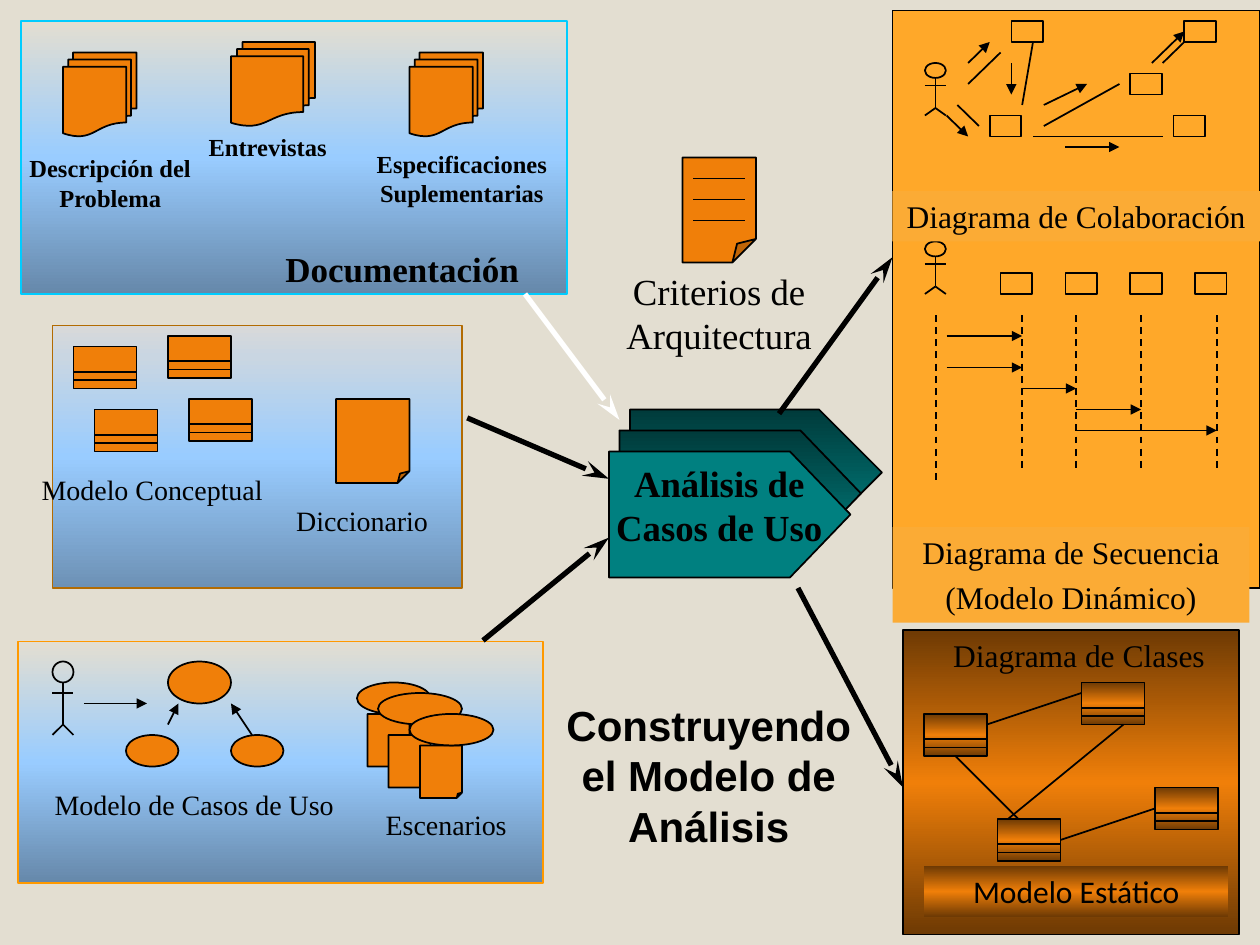
from pptx import Presentation
from pptx.dml.color import RGBColor
from pptx.enum.dml import MSO_LINE_DASH_STYLE as DASH
from pptx.enum.shapes import MSO_CONNECTOR, MSO_SHAPE as SHAPE
from pptx.enum.text import MSO_ANCHOR, MSO_AUTO_SIZE, PP_ALIGN as ALIGN
from pptx.oxml.ns import qn
from pptx.util import Inches, Pt
from lxml.etree import SubElement

C = {"black": "000000", "white": "FFFFFF", "sand": "E3DED1", "orange": "F07F09",
     "amber": "FFA829", "label": "FBAB35", "teal": "008080", "cyan": "00CCFF",
     "brown": "B26B02", "gold": "FF9900"}
SKY = [(0, "E3DED1"), (50, "99CCFF"), (100, "6688AA")]
MIST = [(0, "D9D9D9"), (12, "C9D6E2"), (50, "99CCFF"), (100, "6D91B5")]
COPPER = [(0, "6E3A04"), (50, "F07F09"), (100, "6E3A04")]
DEEP = [(0, "003B3B"), (100, "008080")]
SERIF = "Times New Roman"


def grid(n):
    """Length of n cells; the slide is 120 columns by 90 rows."""
    return Inches(n / 12)


def dyn(col):
    """Slide column of one of the 34 columns in the dynamic model panel."""
    return 85 + col * 35 / 34


def rgb(name):
    return RGBColor.from_string(C[name])


def paint(s, fill):
    """Fill with a colour name, a list of gradient stops, or nothing."""
    if fill is None:
        s.fill.background()
    elif isinstance(fill, str):
        s.fill.solid()
        s.fill.fore_color.rgb = rgb(fill)
    else:
        s.fill.gradient()
        s.fill.gradient_angle = 270
        stops = s._element.spPr.find(".//" + qn("a:gsLst"))
        for gs in list(stops):
            stops.remove(gs)
        for pos, value in fill:
            gs = SubElement(stops, qn("a:gs"), pos=str(pos * 1000))
            SubElement(gs, qn("a:srgbClr"), val=value)


def shape(shapes, kind, x, y, w, h, fill="orange", line="black", adj=None):
    s = shapes.add_shape(kind, grid(x), grid(y), grid(w), grid(h))
    s.shadow.inherit = False
    paint(s, fill)
    if line:
        s.line.color.rgb = rgb(line)
        s.line.width = Pt(1)
    else:
        s.line.fill.background()
    if adj is not None:
        guides = s._element.spPr.find(".//" + qn("a:avLst"))
        for gd in list(guides):
            guides.remove(gd)
        SubElement(guides, qn("a:gd"), name="adj", fmla=f"val {round(adj * 100000)}")
    return s


def line(shapes, x1, y1, x2, y2, color="black", width=1, head=None, dash=False):
    s = shapes.add_connector(MSO_CONNECTOR.STRAIGHT, grid(x1), grid(y1), grid(x2), grid(y2))
    s.line.color.rgb = rgb(color)
    s.line.width = Pt(width)
    if dash:
        s.line.dash_style = DASH.DASH
    if head:
        length = "lg" if head == "stealth" else "med"
        SubElement(s.line._get_or_add_ln(), qn("a:tailEnd"), type=head, w="med", len=length)
    SubElement(s._element.spPr, qn("a:effectLst"))


def write(s, text, size, font=SERIF, bold=False, align=ALIGN.CENTER, wrap=True):
    tf = s.text_frame
    tf.text = text
    tf.word_wrap = wrap
    tf.auto_size = MSO_AUTO_SIZE.NONE
    tf.vertical_anchor = MSO_ANCHOR.TOP
    for p in tf.paragraphs:
        p.alignment = align
        for r in p.runs:
            r.font.name, r.font.size, r.font.bold = font, Pt(size), bold
            r.font.color.rgb = rgb("black")
    return tf


def label(shapes, text, x, y, w, h, size, **style):
    write(shapes.add_textbox(grid(x), grid(y), grid(w), grid(h)), text, size, **style)


def actor(slide, x, y, height, fill=None):
    """Stick figure two columns wide, divided into sevenths of its height."""
    g = slide.shapes.add_group_shape().shapes
    u = height / 7
    mid, hip = x + 1, y + 6 * u
    shape(g, SHAPE.OVAL, x, y, 2, 2 * u, fill)
    line(g, mid, y + 2 * u, mid, hip)
    line(g, x, y + 3 * u, x + 2, y + 3 * u)
    for foot in (x, x + 2):
        line(g, mid, hip, foot, y + height)


def class_box(slide, x, y, fill):
    g = slide.shapes.add_group_shape().shapes
    shape(g, SHAPE.RECTANGLE, x, y, 6, 4, fill)
    for dy in (2.4, 3.2):
        line(g, x, y + dy, x + 6, y + dy)


def dynamic_model(slide):
    shapes = slide.shapes
    shape(shapes, SHAPE.RECTANGLE, 85, 1, 35, 55, "amber")
    for y in (6, 23):
        actor(slide, dyn(3), y, 5, "amber")
    collaborators = [(11, 2), (9, 11), (27, 2), (22, 7), (26, 11)]
    lifeline_heads = [(c, 26) for c in range(10, 29, 6)]
    for c, y in collaborators + lifeline_heads:
        shape(shapes, SHAPE.RECTANGLE, dyn(c), y, 3, 2, "amber")
    for c1, y1, c2, y2 in [(7, 8, 10, 5), (6, 10, 8, 12), (13, 4, 12, 10),
                           (14, 12, 21, 8), (25, 6, 27, 4), (13, 13, 25, 13)]:
        line(shapes, dyn(c1), y1, dyn(c2), y2)
    for c, end in [(4, 46), (12, 45), (17, 45), (23, 45), (30, 45)]:
        line(shapes, dyn(c), 30, dyn(c), end, dash=True)
    calls = [(7, 6, 9, 4), (11, 6, 11, 9), (5, 11, 7, 13),
             (16, 14, 21, 14), (14, 10, 18, 8), (24, 6, 27, 3)]
    messages = [(c1, y, c2, y) for c1, c2, y in
                [(5, 12, 32), (5, 12, 35), (12, 17, 37), (17, 23, 39), (17, 30, 41)]]
    for c1, y1, c2, y2 in calls + messages:
        line(shapes, dyn(c1), y1, dyn(c2), y2, head="triangle")
    s = shape(shapes, SHAPE.RECTANGLE, 85, 18.2, 35, 4.8, "label", None)
    write(s, "Diagrama de Colaboración", 18)
    s = shape(shapes, SHAPE.RECTANGLE, 85, 50.2, 34, 9.1, "label", None)
    p = write(s, "Diagrama de Secuencia\n(Modelo Dinámico)", 18).paragraphs[1]
    p.line_spacing, p.space_before = 0.7, Pt(10)


def documentation(slide):
    shapes = slide.shapes
    shape(shapes, SHAPE.RECTANGLE, 2, 2, 52, 26, SKY, "cyan")
    for x, y, w in [(6, 5, 7), (22, 4, 8), (39, 5, 7)]:
        shape(shapes, SHAPE.FLOWCHART_MULTIDOCUMENT, x, y, w, 8)
    for text, x, y, w, h in [("Descripción del Problema", 0, 14, 21, 6.8),
                             ("Entrevistas", 15, 12, 21, 4),
                             ("Especificaciones Suplementarias", 32, 13.6, 24, 6.8)]:
        label(shapes, text, x, y, w, h, 14, bold=True)
    label(shapes, "Documentación", 26, 23, 29, 5.2, 20, bold=True, align=ALIGN.LEFT)


def conceptual_model(slide):
    shapes = slide.shapes
    shape(shapes, SHAPE.RECTANGLE, 5, 31, 39, 25, MIST, "brown")
    for x, y in [(7, 33), (9, 39), (18, 38), (16, 32)]:
        class_box(slide, x, y, "orange")
    shape(shapes, SHAPE.FOLDED_CORNER, 32, 38, 7, 8, adj=0.16)
    label(shapes, "Modelo Conceptual", 0, 44.4, 29, 4.4, 16)
    label(shapes, "Diccionario", 20, 47.4, 29, 4.4, 16)


def use_case_model(slide):
    shapes = slide.shapes
    shape(shapes, SHAPE.RECTANGLE, 1.7, 61.1, 50, 23, SKY, "gold")
    actor(slide, 5, 63, 7)
    for x, y, w, h in [(16, 63, 6, 4), (12, 70, 5, 3), (22, 70, 5, 3)]:
        shape(shapes, SHAPE.OVAL, x, y, w, h)
    for ends in [(8, 67, 14, 67), (16, 69, 17, 67), (24, 70, 22, 67)]:
        line(shapes, *ends, head="triangle")
    for page, oval in [((35, 68), (34, 65, 7)), ((37, 70), (36, 66, 8)), ((40, 71), (39, 68, 8))]:
        shape(shapes, SHAPE.FOLDED_CORNER, *page, 4, 5, adj=0.125)
        shape(shapes, SHAPE.OVAL, *oval, 3)
    label(shapes, "Modelo de Casos de Uso", 4, 74.4, 29, 7.7, 16)
    label(shapes, "Escenarios", 28, 76.3, 29, 4.4, 16)


def static_model(slide):
    shapes = slide.shapes
    shape(shapes, SHAPE.RECTANGLE, 86, 60, 32, 29, COPPER)
    for x, y in [(95, 78), (110, 75), (103, 65), (88, 68)]:
        class_box(slide, x, y, COPPER)
    for ends in [(94, 69, 103, 66), (91, 72, 97, 78), (96, 78, 107, 69), (101, 80, 110, 77)]:
        line(shapes, *ends)
    s = shape(shapes, SHAPE.RECTANGLE, 88, 82.5, 29, 4.8, COPPER, None)
    write(s, "Modelo Estático", 18, font="Calibri")
    label(shapes, "Diagrama de Clases", 89.6, 60, 26.4, 4.8, 18, align=ALIGN.LEFT, wrap=False)


def analysis(slide):
    """Central process, the architecture criteria and the flow arrows."""
    shapes = slide.shapes
    for x, y, w, fill in [(60, 39, 24, DEEP), (59, 41, 23, DEEP), (58, 43, 23, "teal")]:
        shape(shapes, SHAPE.PENTAGON, x, y, w, 12, fill, adj=0.5 if w == 24 else 0.48)
    label(shapes, "Análisis de Casos de Uso", 55, 43.3, 27, 9.6, 21, bold=True)
    shape(shapes, SHAPE.FOLDED_CORNER, 65, 15, 7, 10, adj=0.32)
    for y in range(15, 22, 2):
        line(shapes, 66, y, 71, y)
    label(shapes, "Criterios de Arquitectura", 54, 25, 29, 9.6, 21)
    line(shapes, 50, 28, 59, 40, "white", 3, "stealth")
    for ends in [(44.5, 39.8, 58, 45.6), (46, 61, 58, 51.2),
                 (74.2, 39.4, 85, 24.5), (76, 56, 86, 75)]:
        line(shapes, *ends, width=3, head="stealth")


def main():
    prs = Presentation()
    prs.slide_width, prs.slide_height = grid(120), grid(90)
    slide = prs.slides.add_slide(prs.slide_layouts[5])
    slide.background.fill.solid()
    slide.background.fill.fore_color.rgb = rgb("sand")
    title = slide.shapes.title
    title.left, title.top, title.width, title.height = map(grid, (52, 66, 31, 15.6))
    write(title, "Construyendo el Modelo de Análisis", 24, font="Arial", bold=True)
    for build in (dynamic_model, documentation, conceptual_model,
                  use_case_model, static_model, analysis):
        build(slide)
    prs.save("out.pptx")


if __name__ == "__main__":
    main()
